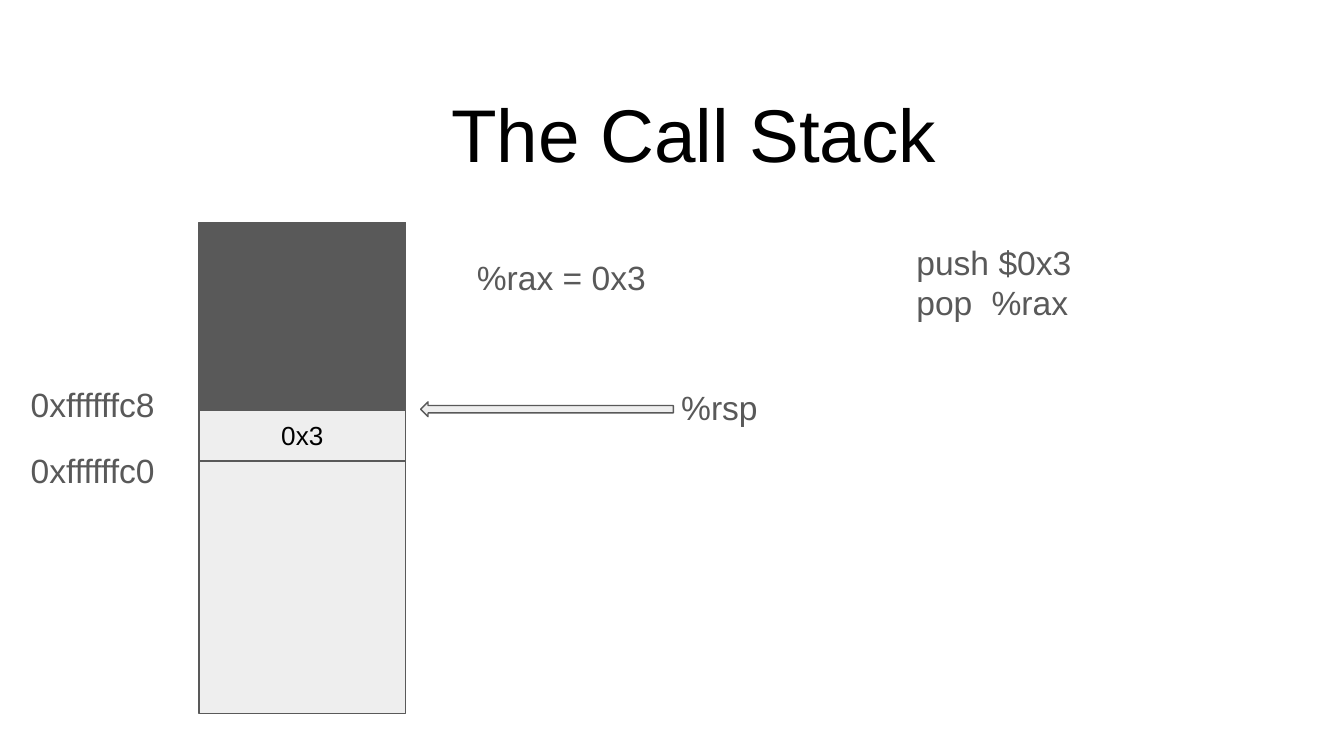
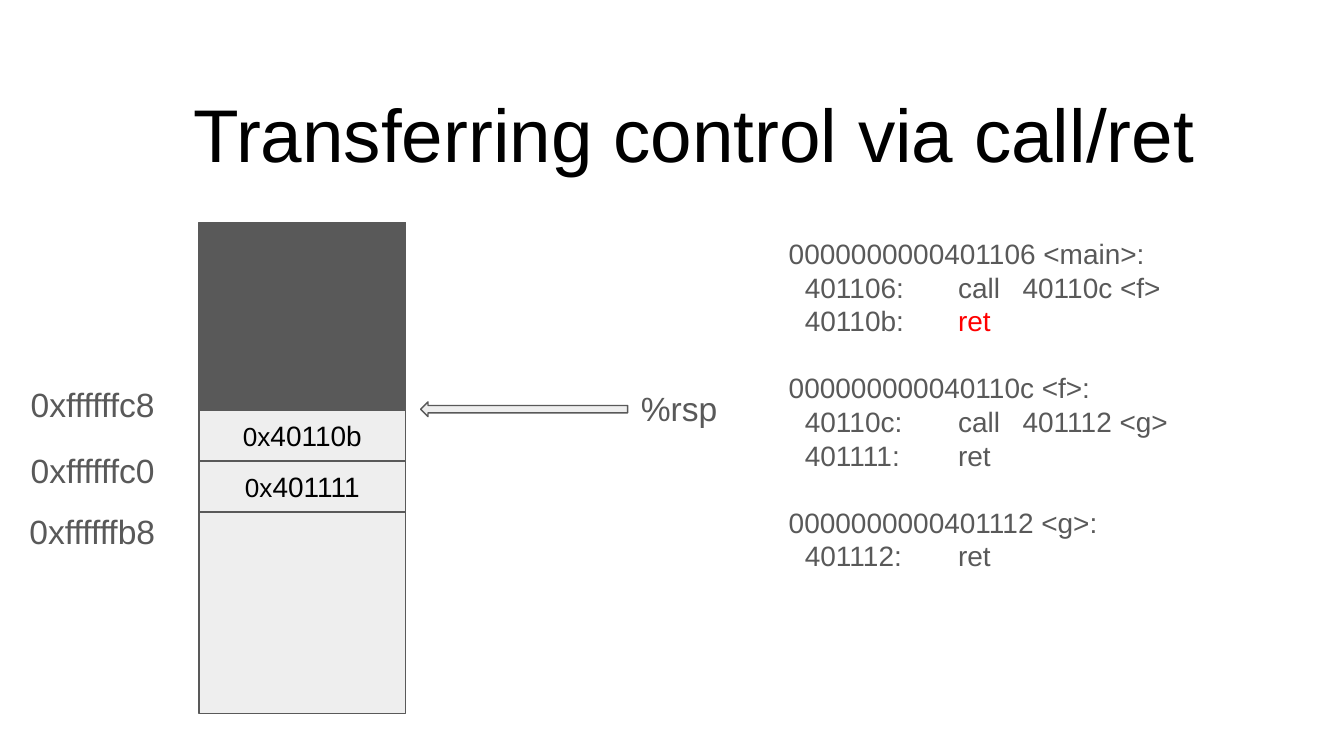
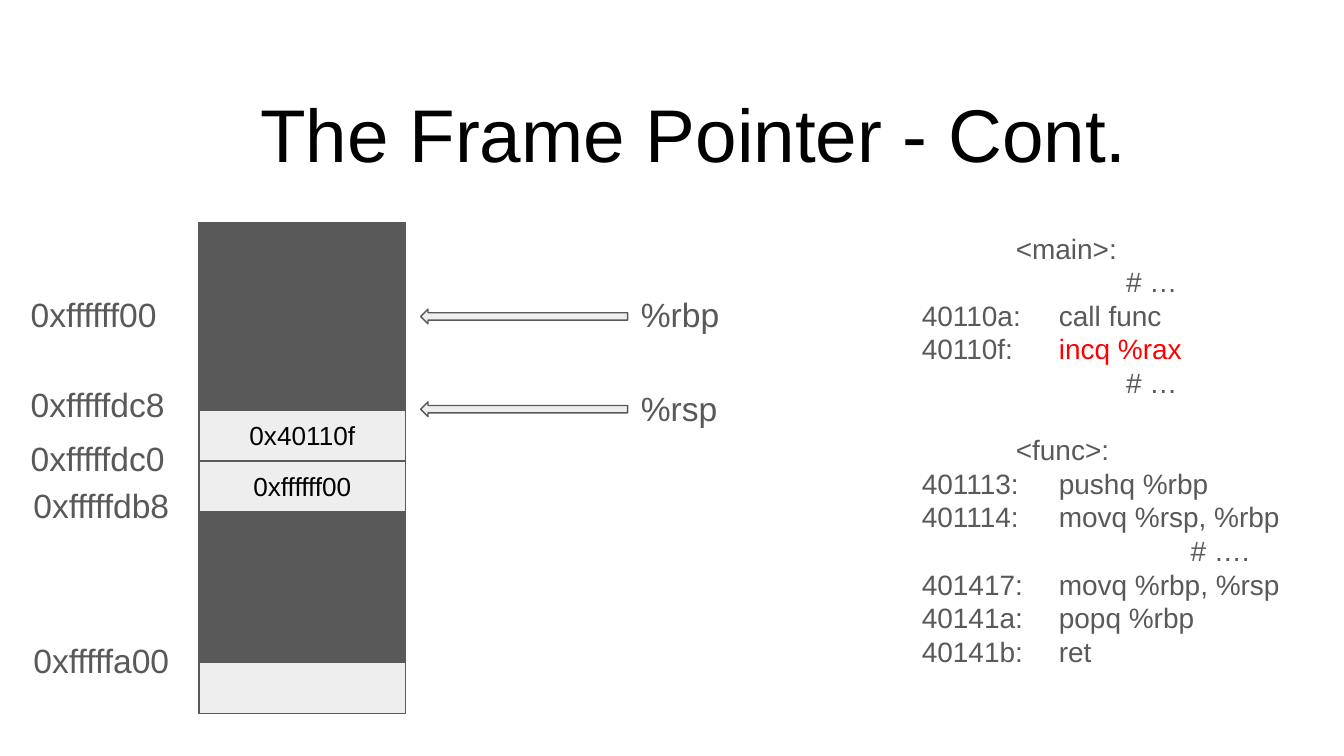
"""Build three slides that show how the call stack changes during assembly code."""
from dataclasses import dataclass

from lxml.etree import SubElement
from pptx import Presentation
from pptx.dml.color import RGBColor
from pptx.enum.shapes import MSO_SHAPE
from pptx.enum.text import MSO_ANCHOR, PP_ALIGN
from pptx.oxml.ns import qn
from pptx.util import Inches, Pt


@dataclass(frozen=True)
class Theme:
    font: str = "Arial"
    ink: RGBColor = RGBColor(0x00, 0x00, 0x00)
    gray: RGBColor = RGBColor(0x59, 0x59, 0x59)
    pale: RGBColor = RGBColor(0xEE, 0xEE, 0xEE)
    red: RGBColor = RGBColor(0xFF, 0x00, 0x00)
    title: int = 40
    label: int = 18
    code: int = 15
    word: int = 14
    line: float = 0.75
    gap: int = 18


@dataclass(frozen=True)
class CodeLine:
    stops: tuple
    cells: tuple
    gap: bool = False
    highlight: bool = False


THEME = Theme()
STACK_LEFT, STACK_TOP, STACK_WIDTH, STACK_HEIGHT = 1.48, 1.66, 1.54, 3.65
USED_HEIGHT, WORD_HEIGHT = 1.39, 0.38
ARROW_LEFT, ARROW_HEIGHT = 3.13, 0.11

PLAIN = ()
PUSH_POP = (0.56,)
LISTING = (0.12, 1.26, 1.74)
NAME, COMMENT, LAST_COMMENT, INSTRUCTION = (0.7,), (1.52,), (2.0,), (1.02,)

SLIDES = [
    {
        "title": "The Call Stack",
        "addresses": [("0xffffffc8", 0.13, 2.76), ("0xffffffc0", 0.13, 3.25)],
        "words": [[("0x3", THEME.word)]],
        "pointers": [("%rsp", 4.97, 2.78, 2.99, 1.88)],
        "notes": [("%rax = 0x3", 3.45, 1.81, 2.63, 0.43)],
        "code_box": (6.72, 1.7, 2.73, 3.1),
        "code_size": THEME.label,
        "code": [
            CodeLine(PLAIN, ("push $0x3",)),
            CodeLine(PUSH_POP, ("pop", "%rax")),
        ],
    },
    {
        "title": "Transferring control via call/ret",
        "addresses": [
            ("0xffffffc8", 0.13, 2.76),
            ("0xffffffc0", 0.13, 3.25),
            ("0xffffffb8", 0.12, 3.7),
        ],
        "words": [
            [("0x", THEME.word), ("40110b", THEME.code)],
            [("0x", THEME.word), ("401111", THEME.code)],
        ],
        "pointers": [("%rsp", 4.67, 2.79, 2.99, 1.54)],
        "code_box": (5.77, 1.66, 3.58, 3),
        "code_size": THEME.code,
        "code": [
            CodeLine(PLAIN, ("0000000000401106 <main>:",)),
            CodeLine(LISTING, ("", "401106:", "call", "40110c <f>")),
            CodeLine(LISTING, ("", "40110b:", "ret"), highlight=True),
            CodeLine(PLAIN, ("000000000040110c <f>:",), gap=True),
            CodeLine(LISTING, ("", "40110c:", "call", "401112 <g>")),
            CodeLine(LISTING, ("", "401111:", "ret")),
            CodeLine(PLAIN, ("0000000000401112 <g>:",), gap=True),
            CodeLine(LISTING, ("", "401112:", "ret")),
        ],
    },
    {
        "title": "The Frame Pointer - Cont.",
        "addresses": [
            ("0xffffff00", 0.13, 2.09),
            ("0xfffffdc8", 0.13, 2.76),
            ("0xfffffdc0", 0.13, 3.16),
            ("0xfffffdb8", 0.15, 3.51),
            ("0xfffffa00", 0.15, 4.66),
        ],
        "words": [[("0x40110f", THEME.word)], [("0xffffff00", THEME.word)]],
        "frame_height": 1.12,
        "pointers": [("%rbp", 4.67, 2.09, 2.3, 1.54), ("%rsp", 4.67, 2.79, 2.99, 1.54)],
        "code_box": (6.76, 1.62, 3.18, 3.71),
        "code_size": THEME.code,
        "code": [
            CodeLine(NAME, ("", "<main>:")),
            CodeLine(COMMENT, ("", "# …")),
            CodeLine(INSTRUCTION, ("40110a:", "call func")),
            CodeLine(INSTRUCTION, ("40110f:", "incq %rax"), highlight=True),
            CodeLine(COMMENT, ("", "# …")),
            CodeLine(NAME, ("", "<func>:"), gap=True),
            CodeLine(INSTRUCTION, ("401113:", "pushq %rbp")),
            CodeLine(INSTRUCTION, ("401114:", "movq %rsp, %rbp")),
            CodeLine(LAST_COMMENT, ("", "# ….")),
            CodeLine(INSTRUCTION, ("401417:", "movq %rbp, %rsp")),
            CodeLine(INSTRUCTION, ("40141a:", "popq %rbp")),
            CodeLine(INSTRUCTION, ("40141b:", "ret")),
        ],
    },
]


def add_span(para, text, size, color):
    span = para.add_run()
    span.text = text
    span.font.name = THEME.font
    span.font.size = Pt(size)
    span.font.color.rgb = color


def set_frame(shape, anchor):
    frame = shape.text_frame
    frame.word_wrap = True
    frame.vertical_anchor = anchor
    frame.margin_left = frame.margin_right = Inches(0.1)
    frame.margin_top = frame.margin_bottom = Inches(0.1)
    return frame


def add_box(page, bounds, anchor=MSO_ANCHOR.TOP):
    box = page.shapes.add_textbox(*map(Inches, bounds))
    return set_frame(box, anchor)


def add_label(page, text, bounds):
    add_span(add_box(page, bounds).paragraphs[0], text, THEME.label, THEME.gray)


def add_title(page, text):
    para = add_box(page, (0.5, 0.55, 9.32, 0.87), MSO_ANCHOR.BOTTOM).paragraphs[0]
    para.alignment = PP_ALIGN.CENTER
    add_span(para, text, THEME.title, THEME.ink)


def add_block(page, kind, bounds, fill):
    block = page.shapes.add_shape(kind, *map(Inches, bounds))
    block.shadow.inherit = False
    block.fill.solid()
    block.fill.fore_color.rgb = fill
    block.line.color.rgb = THEME.gray
    block.line.width = Pt(THEME.line)
    return block


def add_segment(page, top, height, fill):
    bounds = (STACK_LEFT, top, STACK_WIDTH, height)
    return add_block(page, MSO_SHAPE.RECTANGLE, bounds, fill)


def add_stack(page, words, frame_height):
    add_segment(page, STACK_TOP, STACK_HEIGHT, THEME.pale)
    add_segment(page, STACK_TOP, USED_HEIGHT, THEME.gray)
    top = STACK_TOP + USED_HEIGHT
    for word in words:
        segment = add_segment(page, top, WORD_HEIGHT, THEME.pale)
        para = set_frame(segment, MSO_ANCHOR.MIDDLE).paragraphs[0]
        para.alignment = PP_ALIGN.CENTER
        for text, size in word:
            add_span(para, text, size, THEME.ink)
        top += WORD_HEIGHT
    if frame_height:
        add_segment(page, top, frame_height, THEME.gray)


def set_tab_stops(para, stops):
    tabs = SubElement(para._p.get_or_add_pPr(), qn("a:tabLst"))
    for stop in stops:
        SubElement(tabs, qn("a:tab"), pos=str(Inches(stop)), algn="l")


def add_code(page, bounds, lines, size):
    frame = add_box(page, bounds)
    for index, line in enumerate(lines):
        para = frame.add_paragraph() if index else frame.paragraphs[0]
        if line.gap:
            para.space_before = Pt(THEME.gap)
        if line.stops:
            set_tab_stops(para, line.stops)
        *lead, last = line.cells
        if lead:
            add_span(para, "\t".join(lead) + "\t", size, THEME.gray)
        add_span(para, last, size, THEME.red if line.highlight else THEME.gray)


def add_pointer(page, name, label_left, label_top, arrow_top, arrow_width):
    bounds = (ARROW_LEFT, arrow_top, arrow_width, ARROW_HEIGHT)
    add_block(page, MSO_SHAPE.LEFT_ARROW, bounds, THEME.pale)
    add_label(page, name, (label_left, label_top, 1.19, 0.47))


def add_page(deck, content):
    page = deck.slides.add_slide(deck.slide_layouts[6])
    add_title(page, content["title"])
    add_stack(page, content["words"], content.get("frame_height"))
    for text, left, top in content["addresses"]:
        add_label(page, text, (left, top, 1.29, 0.31))
    for pointer in content["pointers"]:
        add_pointer(page, *pointer)
    for text, *bounds in content.get("notes", []):
        add_label(page, text, bounds)
    add_code(page, content["code_box"], content["code"], content["code_size"])


def main():
    deck = Presentation()
    deck.slide_width = Inches(10)
    deck.slide_height = Inches(10 * 9 / 16)
    for content in SLIDES:
        add_page(deck, content)
    deck.save("out.pptx")


if __name__ == "__main__":
    main()
